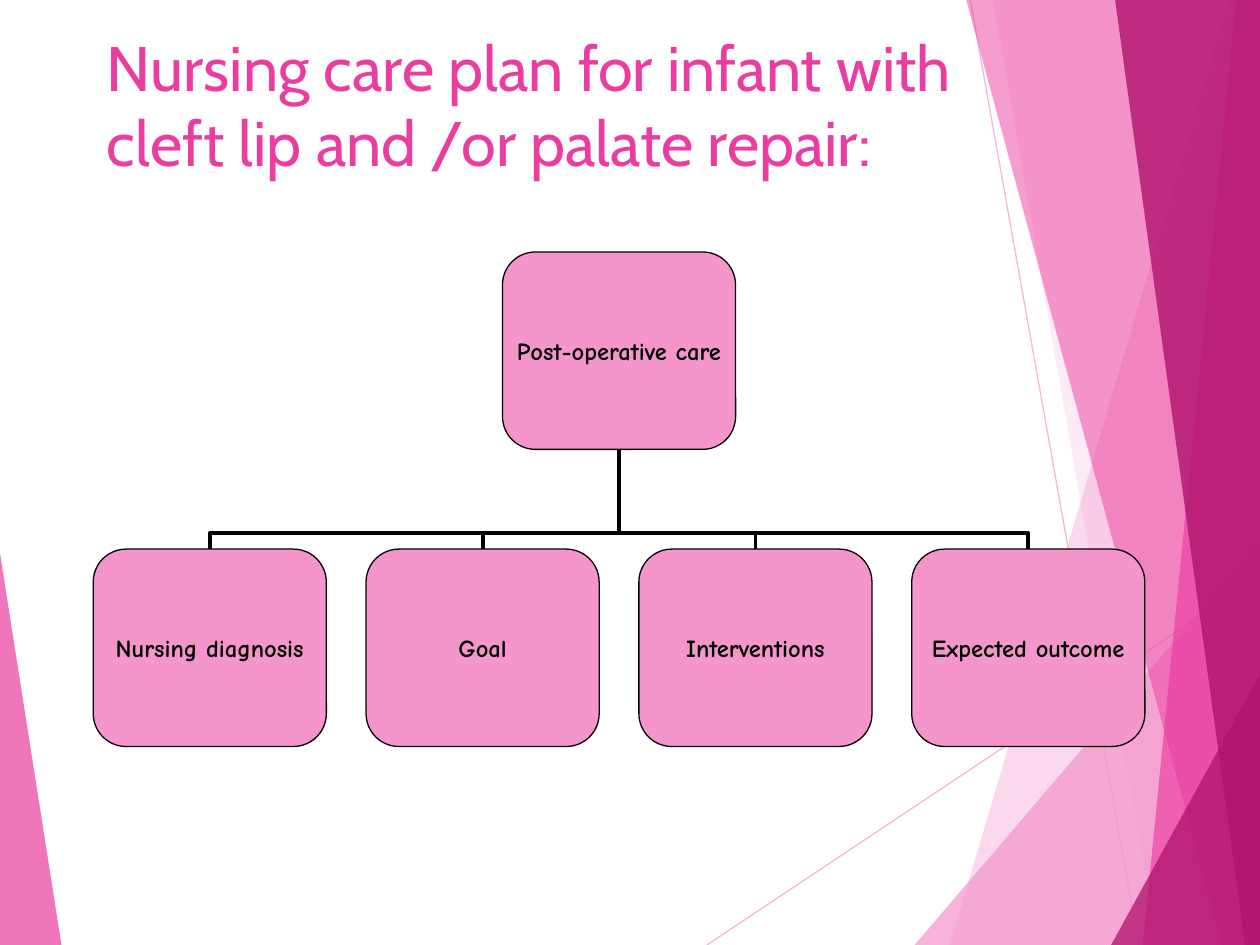
from dataclasses import dataclass

import lxml.etree
import pptx
import pptx.dml.color
import pptx.enum.shapes
import pptx.enum.text
import pptx.oxml.ns
import pptx.shapes.autoshape
import pptx.shapes.base
import pptx.shapes.connector
import pptx.slide
import pptx.text.text
import pptx.util

Cm = pptx.util.Cm
Pt = pptx.util.Pt
qn = pptx.oxml.ns.qn

COLORS = {"light": "F496CB", "pink": "EB3D9F", "dark": "B2136D", "black": "000000"}
WIDTH, HEIGHT = 25.4, 19.05
BOX_W, BOX_H = 4.7, 3.98
ROOT_TOP, CHILD_TOP = 5.08, 11.07
CHILD_LEFT, CHILD_PITCH = 1.88, 5.5
ROOT = "Post-operative care"
CHILDREN = ["Nursing diagnosis", "Goal", "Interventions", "Expected outcome"]


@dataclass
class Facet:
    color: str
    alpha: int
    points: list[tuple[float, float]]


@dataclass
class Ray:
    start: tuple[float, float]
    end: tuple[float, float]


RAYS = [Ray((14.25, HEIGHT), (WIDTH, 11.62)), Ray((19.56, 0), (22.96, HEIGHT))]
TOP_RIGHT, BOTTOM_RIGHT = (WIDTH, 0), (WIDTH, HEIGHT)
FACETS = [
    Facet("light", 36, [(24.77, 0), (19.15, HEIGHT), BOTTOM_RIGHT, TOP_RIGHT]),
    Facet("light", 20, [(20.02, 0), (23.34, HEIGHT), BOTTOM_RIGHT, TOP_RIGHT]),
    Facet("light", 72, [(18.44, HEIGHT), (WIDTH, 10.9), BOTTOM_RIGHT]),
    Facet("pink", 50, [(19.48, 0), (24.64, HEIGHT), BOTTOM_RIGHT, TOP_RIGHT]),
    Facet("pink", 66, [(24.92, 0), (23.04, HEIGHT), BOTTOM_RIGHT, TOP_RIGHT]),
    Facet("dark", 80, [(22.48, 0), (25.1, HEIGHT), BOTTOM_RIGHT, TOP_RIGHT]),
    Facet("dark", 76, [(22.4, HEIGHT), (WIDTH, 13.59), BOTTOM_RIGHT]),
    Facet("pink", 70, [(0, 11.15), (1.24, HEIGHT), (0, HEIGHT)]),
]


def rgb(name: str) -> pptx.dml.color.RGBColor:
    return pptx.dml.color.RGBColor.from_string(COLORS[name])


def set_alpha(sp: pptx.shapes.base.BaseShape, percent: int) -> None:
    color = next(sp.element.iter(qn("a:srgbClr")))
    lxml.etree.SubElement(color, qn("a:alpha")).set("val", str(percent * 1000))


def write_text(tf: pptx.text.text.TextFrame, text: str, *, font: str, size: float,
               color: str, bold: bool = False,
               align=pptx.enum.text.PP_ALIGN.LEFT,
               anchor=pptx.enum.text.MSO_ANCHOR.TOP, wrap: bool = True) -> None:
    tf.word_wrap = wrap
    tf.vertical_anchor = anchor
    p = tf.paragraphs[0]
    p.alignment = align
    r = p.add_run()
    r.text = text
    r.font.name = font
    r.font.size = Pt(size)
    r.font.bold = bold
    r.font.color.rgb = rgb(color)


def style_line(c: pptx.shapes.connector.Connector, color: str, width: float) -> None:
    c.line.color.rgb = rgb(color)
    c.line.width = Pt(width)
    lxml.etree.SubElement(c.element.spPr, qn("a:effectLst"))


def add_ray(s: pptx.slide.Slide, ray: Ray) -> None:
    c = s.shapes.add_connector(
        pptx.enum.shapes.MSO_CONNECTOR.STRAIGHT,
        *(Cm(v) for v in ray.start + ray.end))
    style_line(c, "light", 0.75)
    set_alpha(c, 70)


def add_facet(s: pptx.slide.Slide, facet: Facet) -> None:
    start, *rest = [(Cm(x), Cm(y)) for x, y in facet.points]
    builder = s.shapes.build_freeform(*start)
    builder.add_line_segments(rest, close=True)
    sp = builder.convert_to_shape()
    sp.shadow.inherit = False
    sp.line.fill.background()
    sp.fill.solid()
    sp.fill.fore_color.rgb = rgb(facet.color)
    set_alpha(sp, facet.alpha)


def add_box(s: pptx.slide.Slide, text: str, left: float,
            top: float) -> pptx.shapes.autoshape.Shape:
    sp = s.shapes.add_shape(pptx.enum.shapes.MSO_SHAPE.ROUNDED_RECTANGLE,
                            Cm(left), Cm(top), Cm(BOX_W), Cm(BOX_H))
    sp.shadow.inherit = False
    sp.fill.solid()
    sp.fill.fore_color.rgb = rgb("light")
    sp.line.color.rgb = rgb("black")
    sp.line.width = Pt(0.75)
    tf = sp.text_frame
    tf.margin_left = tf.margin_right = tf.margin_top = tf.margin_bottom = 0
    write_text(tf, text, font="Comic Neue", size=14, color="black", bold=True,
               align=pptx.enum.text.PP_ALIGN.CENTER,
               anchor=pptx.enum.text.MSO_ANCHOR.MIDDLE, wrap=False)
    return sp


def add_branch(s: pptx.slide.Slide, child: pptx.shapes.autoshape.Shape,
               root: pptx.shapes.autoshape.Shape) -> None:
    c = s.shapes.add_connector(pptx.enum.shapes.MSO_CONNECTOR.ELBOW, 0, 0, 0, 0)
    c.begin_connect(child, 0)
    c.end_connect(root, 2)
    x1, y1, x2, y2 = c.begin_x, c.begin_y, c.end_x, c.end_y
    rise, run = abs(y1 - y2), abs(x1 - x2)
    c.left, c.top = (x1 + x2 - rise) // 2, (y1 + y2 - run) // 2
    c.width, c.height = rise, run
    on_left = x1 < x2
    xfrm = c.element.spPr.find(qn("a:xfrm"))
    xfrm.set("rot", str((90 if on_left else 270) * 60000))
    xfrm.set("flipH", "1" if on_left else "0")
    xfrm.set("flipV", "1")
    guides = c.element.spPr.find(qn("a:prstGeom")).find(qn("a:avLst"))
    guide = lxml.etree.SubElement(guides, qn("a:gd"))
    guide.set("name", "adj1")
    guide.set("fmla", "val 15900")
    style_line(c, "black", 2.25)


def main() -> None:
    prs = pptx.Presentation()
    prs.slide_width, prs.slide_height = Cm(WIDTH), Cm(HEIGHT)
    s = prs.slides.add_slide(prs.slide_layouts[5])

    for ray in RAYS:
        add_ray(s, ray)
    for facet in FACETS:
        add_facet(s, facet)

    title = s.shapes.title
    title.left, title.top, title.width, title.height = Cm(1.9), Cm(0.44), Cm(19.08), Cm(3.3)
    write_text(title.text_frame,
               "Nursing care plan for infant with cleft lip and /or palate repair:",
               font="Cabin", size=36, color="pink")

    root_left = CHILD_LEFT + CHILD_PITCH * (len(CHILDREN) - 1) / 2
    root = add_box(s, ROOT, root_left, ROOT_TOP)
    for i, text in enumerate(CHILDREN):
        child = add_box(s, text, CHILD_LEFT + i * CHILD_PITCH, CHILD_TOP)
        add_branch(s, child, root)

    prs.save("out.pptx")


if __name__ == "__main__":
    main()
